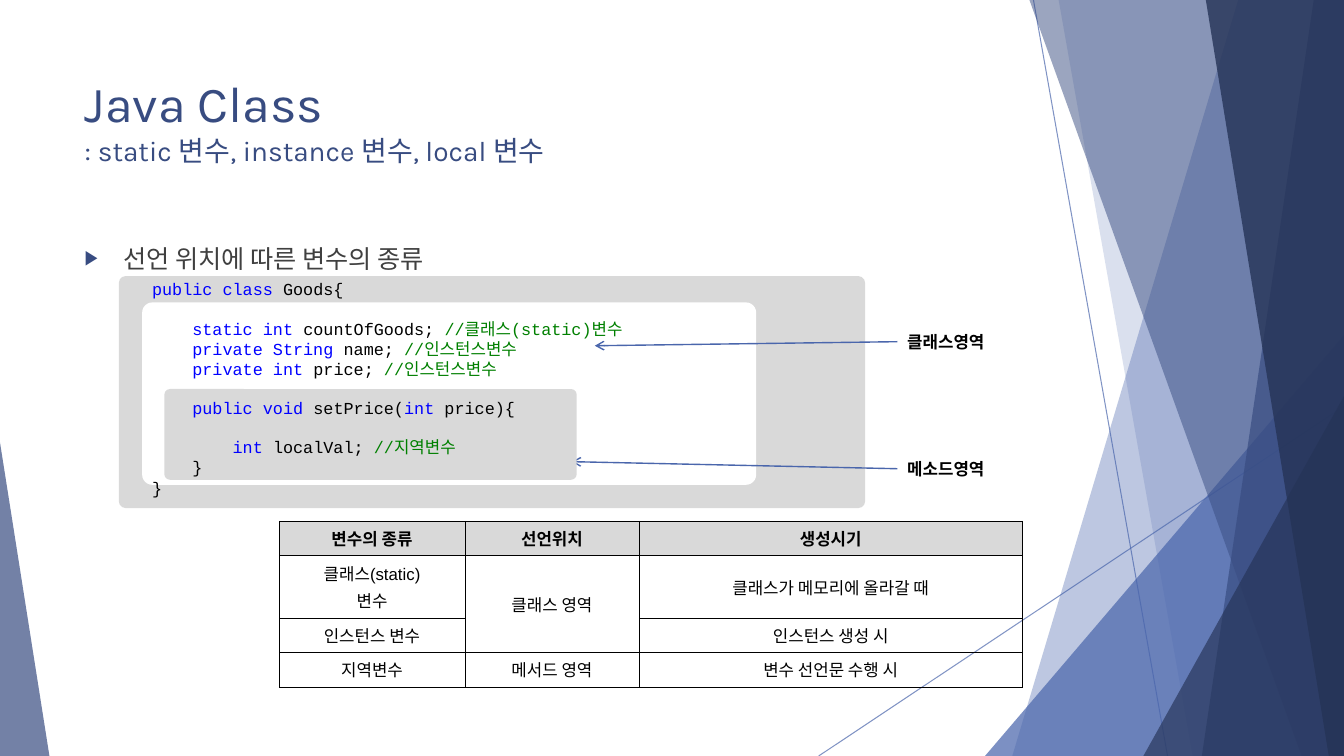
from lxml.etree import SubElement
from pptx import Presentation
from pptx.dml.color import RGBColor
from pptx.enum.shapes import MSO_CONNECTOR, MSO_SHAPE
from pptx.enum.text import MSO_ANCHOR, MSO_AUTO_SIZE, PP_ALIGN
from pptx.oxml.ns import qn
from pptx.util import Inches, Pt

COLORS = {
    "blue": "4A66AC", "deep": "384C81", "navy": "253356", "gray": "D9D9D9",
    "white": "FFFFFF", "black": "000000", "body": "404040",
    "keyword": "0000FF", "comment": "008000",
}
WIDTH, HEIGHT = 13.33, 7.5


def rgb(name):
    return RGBColor.from_string(COLORS[name])


def set_alpha(shape, percent):
    color = shape.element.spPr.find(".//" + qn("a:srgbClr"))
    SubElement(color, qn("a:alpha"), val=str(percent * 1000))


def style_font(font, name, size, color, bold=False):
    font.name, font.size, font.bold = name, Pt(size), bold
    font.color.rgb = rgb(color)


def style_shape(shape, color, alpha=100):
    shape.shadow.inherit = False
    shape.fill.solid()
    shape.fill.fore_color.rgb = rgb(color)
    shape.line.fill.background()
    if alpha < 100:
        set_alpha(shape, alpha)


def add_box(page, kind, box, adjust, color, alpha=100):
    shape = page.shapes.add_shape(kind, *map(Inches, box))
    shape.adjustments[0] = adjust
    style_shape(shape, color, alpha)


def add_line(page, start, end, width):
    line = page.shapes.add_connector(
        MSO_CONNECTOR.STRAIGHT, *map(Inches, (*start, *end)))
    line.line.color.rgb = rgb("blue")
    line.line.width = Pt(width)
    SubElement(line.element.spPr, qn("a:effectLst"))
    return line


def add_facets(page):
    for start, end in [((10.25, 0), (11.58, HEIGHT)), ((WIDTH, 4.03), (8.12, HEIGHT))]:
        set_alpha(add_line(page, start, end, 0.75), 70)

    def band(top_x, bottom_x, color, alpha):
        outline = page.shapes.build_freeform(Inches(top_x), 0)
        outline.add_line_segments([
            (Inches(x), Inches(y))
            for x, y in [(WIDTH, 0), (WIDTH, HEIGHT), (bottom_x, HEIGHT)]])
        style_shape(outline.convert_to_shape(), color, alpha)

    def corner(left, top, width, apex, color, alpha):
        add_box(page, MSO_SHAPE.ISOSCELES_TRIANGLE,
                (left, top, width, HEIGHT - top), apex, color, alpha)

    band(12.28, 10.04, "blue", 36)
    band(10.5, 11.83, "blue", 20)
    corner(9.77, 3.33, 3.56, 1, "blue", 72)
    band(10.21, 12.91, "deep", 50)
    band(13.03, 11.92, "deep", 70)
    band(11.96, 13.18, "navy", 80)
    corner(11.34, 3.93, 1.99, 1, "navy", 66)
    corner(0, 4.39, 0.49, 0, "deep", 70)


def place(holder, box):
    holder.left, holder.top, holder.width, holder.height = map(Inches, box)
    frame = holder.text_frame
    frame.auto_size = MSO_AUTO_SIZE.NONE
    frame.vertical_anchor = MSO_ANCHOR.TOP
    return frame


def fill_title(page, box):
    frame = place(page.shapes.title, box)
    frame.text = "Java Class\n: static 변수, instance 변수, local 변수"
    for para, size in zip(frame.paragraphs, (36, 20)):
        para.alignment = PP_ALIGN.LEFT
        style_font(para.runs[0].font, "Karla", size, "deep")


def fill_body(page, box):
    frame = place(page.placeholders[1], box)
    frame.text = "선언 위치에 따른 변수의 종류"
    para = frame.paragraphs[0]
    para.space_before = Pt(0)
    props = para._p.get_or_add_pPr()
    props.set("marL", str(Inches(0.38)))
    props.set("indent", str(Inches(-0.38)))
    SubElement(SubElement(props, qn("a:buClr")), qn("a:srgbClr"), val=COLORS["deep"])
    SubElement(props, qn("a:buSzPct"), val="80000")
    SubElement(props, qn("a:buFont"), typeface="Arial")
    SubElement(props, qn("a:buChar"), char="▶")
    style_font(para.runs[0].font, "Karla", 18, "body")


# Each line: whether a gap comes before it, then its coloured pieces
CODE = [
    (False, [("public class", "keyword"), (" Goods{", "black")]),
    (True, [("    static int ", "keyword"), ("countOfGoods; ", "black"),
            ("//클래스(static)변수", "comment")]),
    (False, [("    private String", "keyword"), (" name; ", "black"),
             ("//인스턴스변수", "comment")]),
    (False, [("    private int", "keyword"), (" price; ", "black"),
             ("//인스턴스변수", "comment")]),
    (True, [("    public void ", "keyword"), ("setPrice(", "black"),
            ("int", "keyword"), (" price){", "black")]),
    (True, [("        int ", "keyword"), ("localVal; ", "black"),
            ("//지역변수", "comment")]),
    (False, [("    }", "black")]),
    (False, [("}", "black")]),
]


def add_code(page, box):
    frame = page.shapes.add_textbox(*map(Inches, box)).text_frame
    frame.word_wrap = True
    for index, (gap, pieces) in enumerate(CODE):
        para = frame.add_paragraph() if index else frame.paragraphs[0]
        if gap:
            para.space_before = Pt(13.6)
        for text, color in pieces:
            span = para.add_run()
            span.text = text
            style_font(span.font, "Courier New", 12, color)


def add_callout(page, text, left, top, tip):
    label = page.shapes.add_textbox(*map(Inches, (left, top, 1.04, 0.3)))
    frame = label.text_frame
    frame.word_wrap = False
    frame.auto_size = MSO_AUTO_SIZE.SHAPE_TO_FIT_TEXT
    frame.text = text
    style_font(frame.paragraphs[0].runs[0].font, "Arial", 12, "black", True)
    arrow = add_line(page, (left, top + 0.15), tip, 1)
    arrow.begin_connect(label, 1)
    SubElement(arrow.line._get_or_add_ln(), qn("a:tailEnd"), type="arrow")


def add_diagram(page, left, top):
    def scope(x, y, width, height, adjust, color):
        add_box(page, MSO_SHAPE.ROUNDED_RECTANGLE,
                (left + x, top + y, width, height), adjust, color)

    scope(0, 0, 7.4, 2.3, 0.028, "gray")
    scope(0.23, 0.26, 6.09, 1.81, 0.056, "white")
    add_callout(page, "클래스영역", left + 7.72, top + 0.5, (left + 4.72, top + 0.69))
    add_callout(page, "메소드영역", left + 7.72, top + 1.76, (left + 4.49, top + 1.84))
    scope(0.45, 1.12, 4.09, 0.9, 0.062, "gray")
    add_code(page, (left + 0.23, top - 0.02, 5.2, 2.73))


ROWS = [
    ("변수의 종류", "선언위치", "생성시기"),
    ("클래스(static)\n변수", "클래스 영역", "클래스가 메모리에 올라갈 때"),
    ("인스턴스 변수", "", "인스턴스 생성 시"),
    ("지역변수", "메서드 영역", "변수 선언문 수행 시"),
]


def style_cell(cell, text, header):
    props = cell._tc.get_or_add_tcPr()
    for side in ("lnL", "lnR", "lnT", "lnB"):
        border = SubElement(props, qn("a:" + side), w=str(Pt(0.25)))
        fill = SubElement(border, qn("a:solidFill"))
        SubElement(fill, qn("a:srgbClr"), val=COLORS["black"])
    if header:
        cell.fill.solid()
        cell.fill.fore_color.rgb = rgb("gray")
    else:
        cell.fill.background()
    cell.vertical_anchor = MSO_ANCHOR.MIDDLE
    cell.text_frame.text = text
    for index, para in enumerate(cell.text_frame.paragraphs):
        para.alignment = PP_ALIGN.CENTER
        if index:
            para.space_before = Pt(2.4)
        style_font(para.font, "Arial", 12, "black", header)
        for span in para.runs:
            style_font(span.font, "Arial", 12, "black", header)


def add_variable_table(page, box):
    table = page.shapes.add_table(len(ROWS), 3, *map(Inches, box)).table
    table.first_row = table.horz_banding = False
    for column, width in zip(table.columns, (1.84, 1.73, 3.8)):
        column.width = Inches(width)
    for row, height, texts in zip(table.rows, (0.3, 0.54, 0.3, 0.3), ROWS):
        row.height = Inches(height)
        for cell, text in zip(row.cells, texts):
            style_cell(cell, text, texts is ROWS[0])
    table.cell(1, 1).merge(table.cell(2, 1))


def main():
    deck = Presentation()
    deck.slide_width, deck.slide_height = Inches(WIDTH), Inches(HEIGHT)
    page = deck.slides.add_slide(deck.slide_layouts[1])
    add_facets(page)
    fill_title(page, (0.74, 0.67, 9.4, 1.44))
    fill_body(page, (0.74, 2.36, 9.4, 4.24))
    add_variable_table(page, (2.77, 5.17, 7.37, 1.44))
    add_diagram(page, 1.18, 2.74)
    deck.save("out.pptx")


if __name__ == "__main__":
    main()
